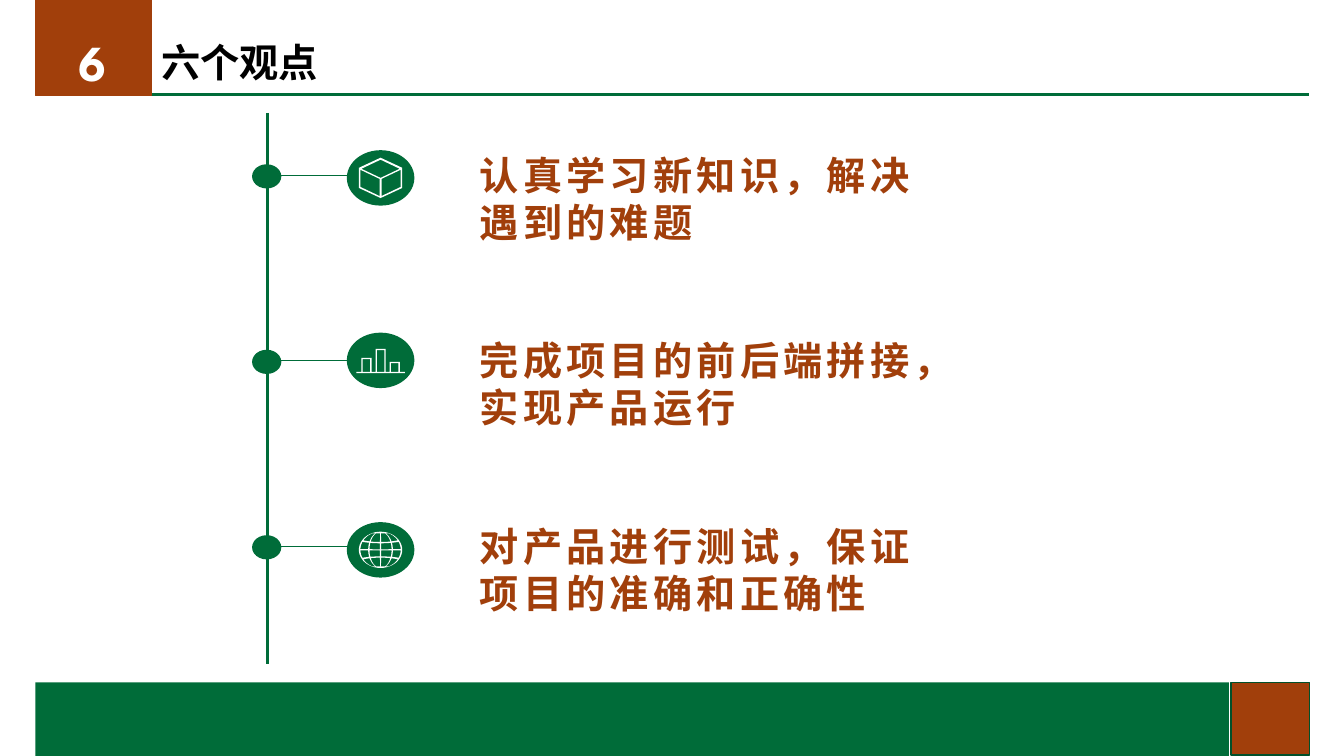
import math

from lxml import etree
from pptx import Presentation
from pptx.dml.color import RGBColor
from pptx.enum.shapes import MSO_CONNECTOR, MSO_SHAPE
from pptx.enum.text import MSO_ANCHOR, MSO_AUTO_SIZE, PP_ALIGN
from pptx.oxml.ns import qn
from pptx.util import Inches, Pt

RECTANGLE, OVAL = MSO_SHAPE.RECTANGLE, MSO_SHAPE.OVAL
STRAIGHT = MSO_CONNECTOR.STRAIGHT
TOP, MIDDLE = MSO_ANCHOR.TOP, MSO_ANCHOR.MIDDLE
LEFT, CENTER = PP_ALIGN.LEFT, PP_ALIGN.CENTER
FIT_TEXT = MSO_AUTO_SIZE.SHAPE_TO_FIT_TEXT

COLORS = {"green": "006C39", "dark_green": "00502A", "rust": "A13F0B",
          "white": "FFFFFF", "black": "000000"}
CHINESE_FONT = "Noto Sans CJK SC"
NUMBER_FONT = "League Spartan"


def color(name):
    return RGBColor.from_string(COLORS[name])


def paint(shape, fill, line=None):
    shape.shadow.inherit = False
    shape.fill.solid()
    shape.fill.fore_color.rgb = color(fill)
    if line:
        shape.line.color.rgb = color(line)
        shape.line.width = Pt(1)
    else:
        shape.line.fill.background()


def add_block(page, kind, box, fill, line=None):
    shape = page.shapes.add_shape(kind, *map(Inches, box))
    paint(shape, fill, line)


def add_line(page, start, end, line, width):
    connector = page.shapes.add_connector(STRAIGHT, *map(Inches, start + end))
    connector.line.color.rgb = color(line)
    connector.line.width = Pt(width)
    etree.SubElement(connector._element.spPr, qn("a:effectLst"))


def add_text(page, box, text, size, ink, font=CHINESE_FONT, anchor=TOP, align=LEFT,
             inset=None, line_spacing=None, tracking=0, hanging=0):
    frame = page.shapes.add_textbox(*map(Inches, box)).text_frame
    frame.word_wrap = True
    frame.auto_size = FIT_TEXT
    frame.vertical_anchor = anchor
    if inset is not None:
        frame.margin_left = frame.margin_right = Inches(inset)
        frame.margin_top = frame.margin_bottom = Inches(inset)
    para = frame.paragraphs[0]
    para.alignment = align
    if line_spacing:
        para.line_spacing = line_spacing
    if hanging:
        properties = para._p.get_or_add_pPr()
        properties.set("marL", str(Inches(hanging)))
        properties.set("indent", str(-Inches(hanging)))
    span = para.add_run()
    span.text = text
    span.font.name = font
    span.font.size = Pt(size)
    span.font.bold = True
    span.font.color.rgb = color(ink)
    properties = span._r.get_or_add_rPr()
    etree.SubElement(properties, qn("a:ea")).set("typeface", font)
    if tracking:
        properties.set("spc", str(tracking * 100))


def cube_outlines():
    """Hexagon with a hole for each visible face."""
    return [
        [(0, -.2), (.215, -.1), (.215, .1), (0, .2), (-.215, .1), (-.215, -.1)],
        [(0, -.18), (.19, -.09), (0, 0), (-.19, -.09)],
        *[[(side * .2, -.08), (side * .01, .01), (side * .01, .18), (side * .2, .09)]
          for side in (-1, 1)],
    ]


def bar_outlines():
    """Skyline of three bars on a baseline, with a hole in each bar."""
    base, half, rim = .115, .05, .013
    skyline, holes = [(-.24, base)], []
    for middle, top in ((-.14, -.025), (0, -.115), (.14, .015)):
        left, right = middle - half, middle + half
        skyline += [(left, base), (left, top), (right, top), (right, base)]
        holes.append([(left + rim, base), (left + rim, top + rim),
                      (right - rim, top + rim), (right - rim, base)])
    return [skyline + [(.24, base), (.24, .128), (-.24, .128)]] + holes


def globe_outlines():
    """Disc with a hole for each cell between meridians and parallels."""
    radius_x, radius_y, steps = .215, .18, 8

    def place(meridian, parallel):
        bent = parallel * (1 + .25 * meridian ** 2)
        height = max(-.91, min(.91, bent))
        return (radius_x * meridian * math.sqrt(1 - height ** 2), radius_y * height)

    def cell(west, east, north, south):
        corners = [(west, north), (east, north), (east, south), (west, south)]
        outline = []
        for (m0, p0), (m1, p1) in zip(corners, corners[1:] + corners[:1]):
            outline += [place(m0 + (m1 - m0) * step / steps, p0 + (p1 - p0) * step / steps)
                        for step in range(steps)]
        return outline

    angles = [math.tau * step / 48 for step in range(48)]
    disc = [(radius_x * math.cos(angle), radius_y * math.sin(angle)) for angle in angles]
    columns = [(-.93, -.57), (-.51, -.03), (.03, .51), (.57, .93)]
    rows = [(-.91, -.43), (-.36, -.03), (.03, .36), (.43, .91)]
    return [disc] + [cell(*column, *row) for column in columns for row in rows]


def add_icon(page, center, outlines):
    units = 10000
    contours = [[((center[0] + x) * units, (center[1] + y) * units) for x, y in outline]
                for outline in outlines]
    builder = page.shapes.build_freeform(*contours[0][0], scale=Inches(1) / units)
    for number, contour in enumerate(contours):
        if number:
            builder.move_to(*contour[0])
        builder.add_line_segments(contour[1:], close=True)
    paint(builder.convert_to_shape(), "white")


def add_header(page, left, top, width):
    add_line(page, (left + 1.14, top + .94), (left + width, top + .94), "green", 2.25)
    add_block(page, RECTANGLE, (left, top, 1.15, .95), "rust", "rust")
    add_text(page, (left + 1.15, top + .38, 9.45, .53), "六个观点", 28, "black",
             anchor=MIDDLE, line_spacing=.9)
    add_text(page, (left + .04, top + .26, 1.06, .71), "6", 36, "white",
             font=NUMBER_FONT, align=CENTER, hanging=.25)


def add_footer(page, left, top, width, height):
    corner = .78
    split = left + width - corner
    add_block(page, RECTANGLE, (left, top, width - corner, height), "green")
    add_line(page, (split, top), (split, top + height), "white", 1)
    add_block(page, RECTANGLE, (split + .01, top, corner, height - .01), "rust", "dark_green")


def add_viewpoint(page, left, top, text, badge_top, outlines):
    """Timeline dot, thin link, icon badge and statement."""
    badge_left, badge_width, badge_height = left + .94, .67, .55
    add_block(page, OVAL, (left, top + .13, .29, .24), "green")
    add_line(page, (left + .13, top + .24), (left + 1.51, top + .24), "green", .5)
    add_text(page, (left + 2.26, top, 4.38, .94), text, 28, "rust", inset=0, tracking=3)
    add_block(page, OVAL, (badge_left, badge_top, badge_width, badge_height), "green")
    add_icon(page, (badge_left + badge_width / 2, badge_top + badge_height / 2), outlines)


def add_timeline(page, left, top, height):
    add_line(page, (left + .15, top), (left + .15, top + height), "green", 2.25)
    viewpoints = [
        ("认真学习新知识，解决遇到的难题", 1.49, cube_outlines()),
        ("完成项目的前后端拼接，实现产品运行", 3.3, bar_outlines()),
        ("对产品进行测试，保证项目的准确和正确性", 5.18, globe_outlines()),
    ]
    for row, (text, badge_top, outlines) in enumerate(viewpoints):
        add_viewpoint(page, left, top + .38 + row * 1.84, text, badge_top, outlines)


def main():
    deck = Presentation()
    deck.slide_width, deck.slide_height = Inches(13.33), Inches(7.5)
    page = deck.slides.add_slide(deck.slide_layouts[6])
    add_header(page, .35, 0, 12.63)
    add_timeline(page, 2.5, 1.12, 5.47)
    add_footer(page, .35, 6.77, 12.63, .73)
    deck.save("out.pptx")


if __name__ == "__main__":
    main()
